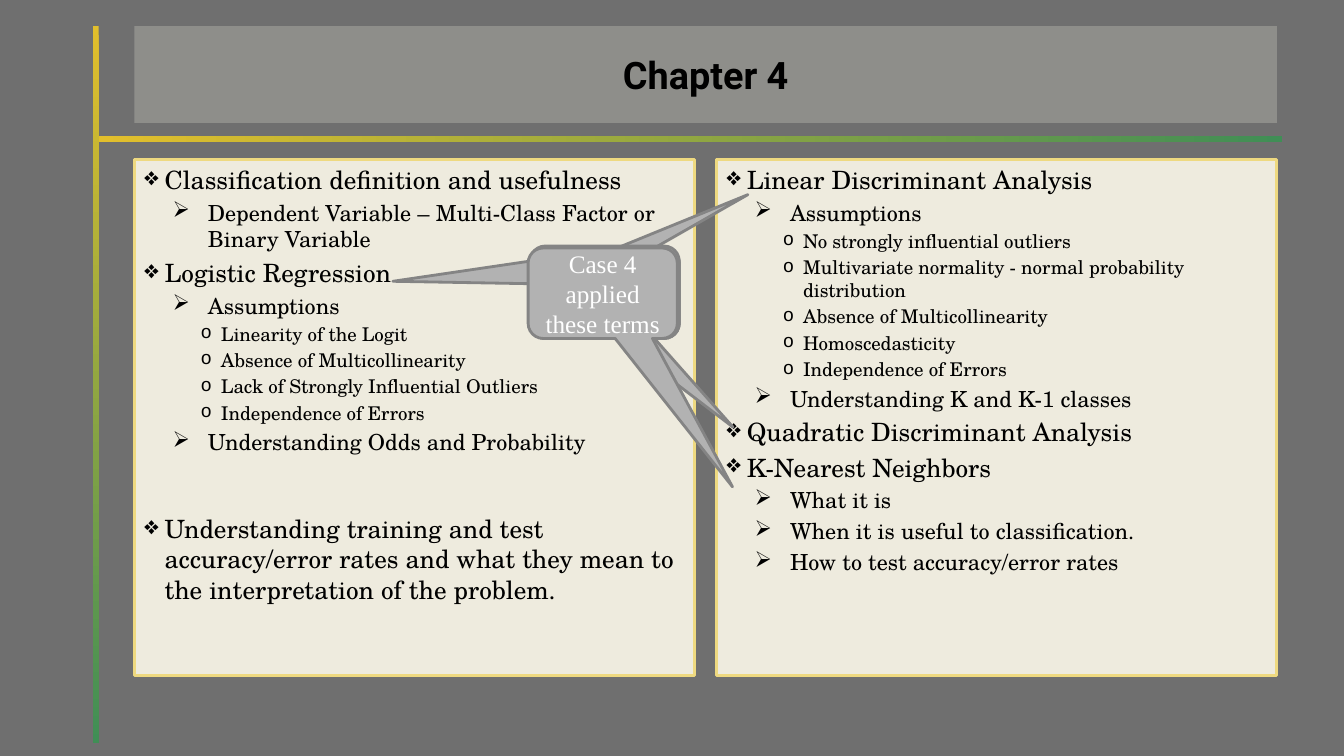
from dataclasses import dataclass

from lxml import etree
from pptx import Presentation
from pptx import util as u
from pptx.dml.color import RGBColor
from pptx.enum import shapes, text
from pptx.oxml.ns import qn


@dataclass(frozen=True)
class Theme:
    background: str = "6F6F6F"
    gold: str = "E2BF2C"
    green: str = "408E56"
    cream: str = "EEEBDE"
    panel_line: str = "EED980"
    callout: str = "B2B2B2"
    callout_line: str = "848484"
    black: str = "000000"
    white: str = "FFFFFF"
    title_font: str = "Roboto"
    body_font: str = "TeX Gyre Schola"
    callout_font: str = "Times New Roman"
    title_size: float = 27
    callout_size: float = 18
    level_sizes: tuple = (18, 15.8, 13.5)


theme = Theme()
# Per level: bullet, left margin and hanging indent in cm
LEVELS = [("❖", 0.51, 0.51), ("➢", 1.6, 0.89), ("o", 1.93, 0.51)]


def add_box(preset, left, top, width, height, fill=None, line=None, weight=0):
    """Add an unshadowed shape, placed in cm, with an optional fill and outline."""
    shape = slide.shapes.add_shape(preset, u.Cm(left), u.Cm(top), u.Cm(width), u.Cm(height))
    shape.shadow.inherit = False
    if fill:
        shape.fill.solid()
        shape.fill.fore_color.rgb = RGBColor.from_string(fill)
    if line:
        shape.line.color.rgb = RGBColor.from_string(line)
        shape.line.width = u.Pt(weight)
    else:
        shape.line.fill.background()
    return shape


def write(shape, content, size, font, color, bold=False, level=None, before=0):
    """Append a paragraph; a level makes it a bulleted, left-aligned one."""
    frame = shape.text_frame
    frame.word_wrap = True
    paragraph = frame.paragraphs[0] if not frame.text else frame.add_paragraph()
    paragraph.alignment = text.PP_ALIGN.CENTER
    if level is not None:
        bullet, margin, hanging = LEVELS[level]
        paragraph.alignment = text.PP_ALIGN.LEFT
        paragraph.level = level
        paragraph.space_before = u.Pt(before)
        properties = paragraph._p.get_or_add_pPr()
        properties.set("marL", str(u.Cm(margin)))
        properties.set("indent", str(-u.Cm(hanging)))
        if bullet == "o":
            etree.SubElement(properties, qn("a:buFont"), typeface="Courier New")
        etree.SubElement(properties, qn("a:buChar"), char=bullet)
    run = paragraph.add_run()
    run.text = content
    run.font.size = u.Pt(size)
    run.font.name = font
    run.font.bold = bold
    run.font.color.rgb = RGBColor.from_string(color)


presentation = Presentation()
presentation.slide_width = u.Cm(33.87)
presentation.slide_height = u.Cm(19.05)
slide = presentation.slides.add_slide(presentation.slide_layouts[6])
slide.background.fill.solid()
slide.background.fill.fore_color.rgb = RGBColor.from_string(theme.background)

rectangle = shapes.MSO_SHAPE.RECTANGLE

# Gradient rules: vertical, then horizontal
for place, angle in [((2.34, 0.66, 0.15, 18.06), 270), ((2.49, 3.43, 29.82, 0.15), 0)]:
    rule = add_box(rectangle, *place)
    rule.fill.gradient()
    rule.fill.gradient_angle = angle
    for stop, color in zip(rule.fill.gradient_stops, (theme.gold, theme.green)):
        stop.color.rgb = RGBColor.from_string(color)

# Title bar at 25% opacity
title = add_box(rectangle, 3.39, 0.66, 28.79, 2.44, theme.cream)
title_color = title._element.spPr.find(qn("a:solidFill"))[0]
etree.SubElement(title_color, qn("a:alpha"), val="25000")
title.text_frame.vertical_anchor = text.MSO_ANCHOR.MIDDLE
write(title, "Chapter 4", theme.title_size, theme.title_font, theme.black, bold=True)

# Topic panels: level, text and any extra gap above in points
left_topics = [
    (0, "Classification definition and usefulness", 0),
    (1, "Dependent Variable – Multi-Class Factor or Binary Variable", 0),
    (0, "Logistic Regression", 0),
    (1, "Assumptions", 0),
    (2, "Linearity of the Logit", 0),
    (2, "Absence of Multicollinearity", 0),
    (2, "Lack of Strongly Influential Outliers", 0),
    (2, "Independence of Errors", 0),
    (1, "Understanding Odds and Probability", 0),
    (0, "Understanding training and test accuracy/error rates and what they mean "
        "to the interpretation of the problem.", 38),
]
right_topics = [
    (0, "Linear Discriminant Analysis", 0),
    (1, "Assumptions", 0),
    (2, "No strongly influential outliers", 0),
    (2, "Multivariate normality - normal probability distribution", 0),
    (2, "Absence of Multicollinearity", 0),
    (2, "Homoscedasticity", 0),
    (2, "Independence of Errors", 0),
    (1, "Understanding K and K-1 classes", 0),
    (0, "Quadratic Discriminant Analysis", 0),
    (0, "K-Nearest Neighbors", 0),
    (1, "What it is", 0),
    (1, "When it is useful to classification.", 0),
    (1, "How to test accuracy/error rates", 0),
]
for left, topics in [(3.39, left_topics), (18.06, right_topics)]:
    panel = add_box(rectangle, left, 4.02, 14.12, 13, theme.cream, theme.panel_line, 2.25)
    panel.text_frame.vertical_anchor = text.MSO_ANCHOR.TOP
    for index, (level, topic, gap) in enumerate(topics):
        size = theme.level_sizes[level]
        before = round(0.2 * size + gap, 1) if index else 0
        write(panel, topic, size, theme.body_font, theme.black, level=level, before=before)

# Stacked callouts, one pointer each; the front one carries the label
pointers = [
    (13.36, 6.25, 0.96, -1.09),
    (13.36, 6.25, 0.86, 1.48),
    (13.36, 6.2, -1.42, -0.11),
    (13.31, 6.25, 0.87, 2.14),
]
for left, top, tip_x, tip_y in pointers:
    callout = add_box(shapes.MSO_SHAPE.ROUNDED_RECTANGULAR_CALLOUT, left, top, 3.76, 2.28,
                      theme.callout, theme.callout_line, 2)
    callout.adjustments[0] = tip_x
    callout.adjustments[1] = tip_y
callout.text_frame.vertical_anchor = text.MSO_ANCHOR.MIDDLE
write(callout, "Case 4 applied these terms", theme.callout_size, theme.callout_font, theme.white)

presentation.save("out.pptx")
